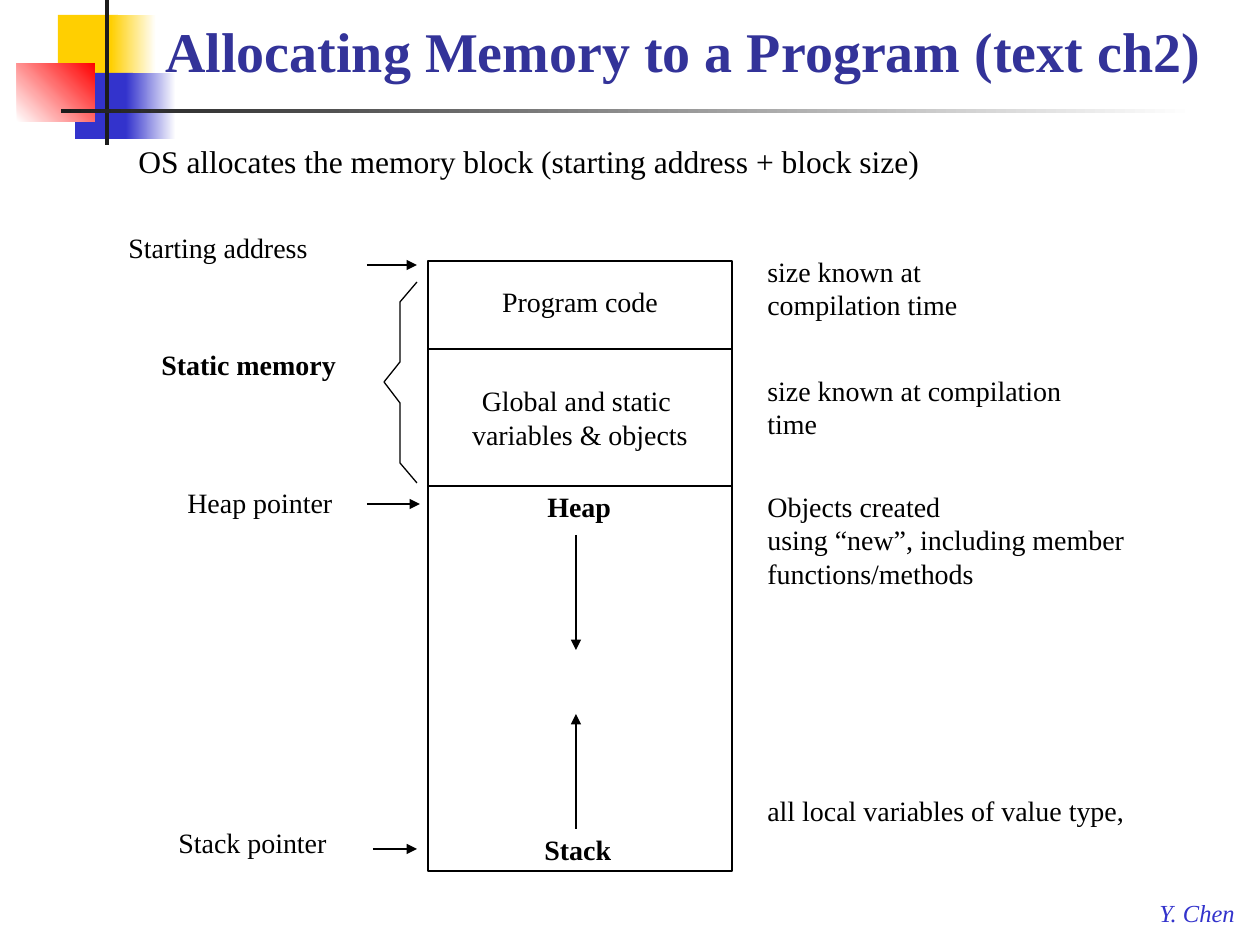
from lxml import etree
from pptx import Presentation
from pptx import util as u
from pptx.dml.color import RGBColor
from pptx.enum import shapes, text
from pptx.oxml.ns import qn

PX = 914400 / 126
BLACK, WHITE, BLUE, YELLOW, RED, DARK = "000000", "FFFFFF", "3333CC", "FFCF01", "FF0000", "1C1C1C"


def px(n):
    """Turn pixels into EMU."""
    return u.Emu(round(n * PX))


def rgb(value):
    """Turn a hex string into a colour."""
    return RGBColor.from_string(value)


def add_rect(s, x, y, w, h, fill, fade_to=None, angle=0, line=None):
    """Add a rectangle with a solid or fading fill."""
    sp = s.shapes.add_shape(shapes.MSO_SHAPE.RECTANGLE, px(x), px(y), px(w), px(h))
    sp.shadow.inherit = False
    if fade_to:
        sp.fill.gradient()
        sp.fill.gradient_angle = angle
        for stop, color in zip(sp.fill.gradient_stops, (fill, fade_to)):
            stop.color.rgb = rgb(color)
    else:
        sp.fill.solid()
        sp.fill.fore_color.rgb = rgb(fill)
    if line:
        sp.line.color.rgb = rgb(line)
        sp.line.width = u.Pt(1)
    else:
        sp.line.fill.background()
    return sp


def set_text(sp, words, size=16, color=BLACK, bold=False, italic=False, wrap=False):
    """Write one paragraph into a shape and return it."""
    tf = sp.text_frame
    tf.word_wrap = wrap
    p = tf.paragraphs[0]
    p.text = words
    p.font.name = "Times New Roman"
    p.font.size = u.Pt(size)
    p.font.bold = bold
    p.font.italic = italic
    p.font.color.rgb = rgb(color)
    return p


def add_label(s, x, y, w, h, words, **style):
    """Add a text box."""
    sp = s.shapes.add_textbox(px(x), px(y), px(w), px(h))
    set_text(sp, words, **style)
    return sp


def add_arrow(s, x1, y1, x2, y2, width=1):
    """Add a straight arrow that points at its end."""
    c = s.shapes.add_connector(shapes.MSO_CONNECTOR.STRAIGHT, px(x1), px(y1), px(x2), px(y2))
    c.line.color.rgb = rgb(BLACK)
    c.line.width = u.Pt(width)
    etree.SubElement(c.line._get_or_add_ln(), qn("a:tailEnd"), type="triangle")
    etree.SubElement(c._element.spPr, qn("a:effectLst"))


def add_ornament(s, x, y):
    """Draw the coloured blocks and rules at the top left."""
    add_rect(s, x + 41, y + 15, 60, 66, YELLOW)
    add_rect(s, x + 94, y + 15, 45, 66, YELLOW, WHITE)
    add_rect(s, x + 58, y + 73, 58, 66, BLUE)
    add_rect(s, x + 109, y + 73, 50, 66, BLUE, WHITE)
    add_rect(s, x, y + 63, 78, 59, WHITE, RED, 45)
    add_rect(s, x + 88, y, 4, 145, DARK)
    add_rect(s, x + 44, y + 109, 1134, 4, DARK, WHITE)


def add_heading(s, x, y, w, h):
    """Place the title and the sentence under it."""
    sp = add_label(s, x, y, w, h, "Allocating Memory to a Program (text ch2)",
                   size=32, color="333399", bold=True, wrap=True)
    sp.text_frame.vertical_anchor = text.MSO_ANCHOR.MIDDLE
    p = sp.text_frame.paragraphs[0]
    p.alignment = text.PP_ALIGN.CENTER
    p.line_spacing = 0.85
    add_label(s, x - 2, y + 125, 1066, 63,
              "OS allocates the memory block (starting address + block size)", size=18)


def add_memory(s, x, y, w):
    """Stack the memory areas and show how heap and stack grow."""
    areas = [
        (88, "Program code", 0.8),
        (137, "Global and static \nvariables & objects", 1),
        (385, "", 1),
    ]
    top = y
    for h, words, spacing in areas:
        sp = add_rect(s, x, top, w, h, WHITE, line=BLACK)
        if words:
            sp.text_frame.vertical_anchor = text.MSO_ANCHOR.MIDDLE
            p = set_text(sp, words)
            p.alignment = text.PP_ALIGN.CENTER
            p.line_spacing = spacing
        top += h
    add_label(s, x + 107, y + 222, 89, 46, "Heap", bold=True)
    add_label(s, x + 104, y + 565, 93, 46, "Stack", bold=True)
    add_arrow(s, x + 148, y + 274, x + 148, y + 389)
    add_arrow(s, x + 148, y + 568, x + 148, y + 453)


def add_brace(s, x, y, w, h):
    """Draw an angular left brace from two mirrored halves."""
    mid = y + h / 2
    for side in (-1, 1):
        fb = s.shapes.build_freeform(x + w, mid + side * h / 2, scale=PX)
        fb.add_line_segments(
            [(x + w / 2, mid + side * h * 0.4), (x + w / 2, mid + side * h * 0.1), (x, mid)],
            close=False)
        sp = fb.convert_to_shape()
        sp.shadow.inherit = False
        sp.fill.background()
        sp.line.color.rgb = rgb(BLACK)
        sp.line.width = u.Pt(0.75)


def add_pointers(s, x, y):
    """Place the labels, arrows and brace left of the memory."""
    labels = [
        (0, 0, 205, "Starting address", False),
        (33, 117, 203, "Static memory", True),
        (59, 255, 178, "Heap pointer", False),
        (50, 595, 234, "Stack pointer", False),
    ]
    for dx, dy, w, words, bold in labels:
        add_label(s, x + dx, y + dy, w, 46, words, bold=bold)
    for start, end, dy, width in [(251, 301, 41, 0.75), (251, 304, 280, 1), (257, 301, 625, 1)]:
        add_arrow(s, x + start, y + dy, x + end, y + dy, width)
    add_brace(s, x + 268, y + 58, 33, 201)


def add_notes_column(s, x, y):
    """Place the remarks right of the memory."""
    notes = [
        (0, 300, 80, "size known at compilation time"),
        (119, 350, 80, "size known at compilation time"),
        (235, 485, 114, "Objects created\nusing “new”, including member functions/methods"),
        (539, 384, 80, "all local variables of value type,"),
    ]
    for dy, w, h, words in notes:
        add_label(s, x, y + dy, w, h, words, wrap=True)


def main():
    """Build the slide and save it."""
    prs = Presentation()
    prs.slide_width, prs.slide_height = px(1260), px(945)
    s = prs.slides.add_slide(prs.slide_layouts[6])
    add_ornament(s, 17, 0)
    add_label(s, 1147, 892, 103, 42, "Y. Chen", size=14, color=BLUE, italic=True)
    add_heading(s, 128, 11, 1111, 88)
    add_memory(s, 428, 261, 304)
    add_pointers(s, 116, 224)
    add_notes_column(s, 755, 248)
    prs.save("out.pptx")


if __name__ == "__main__":
    main()
